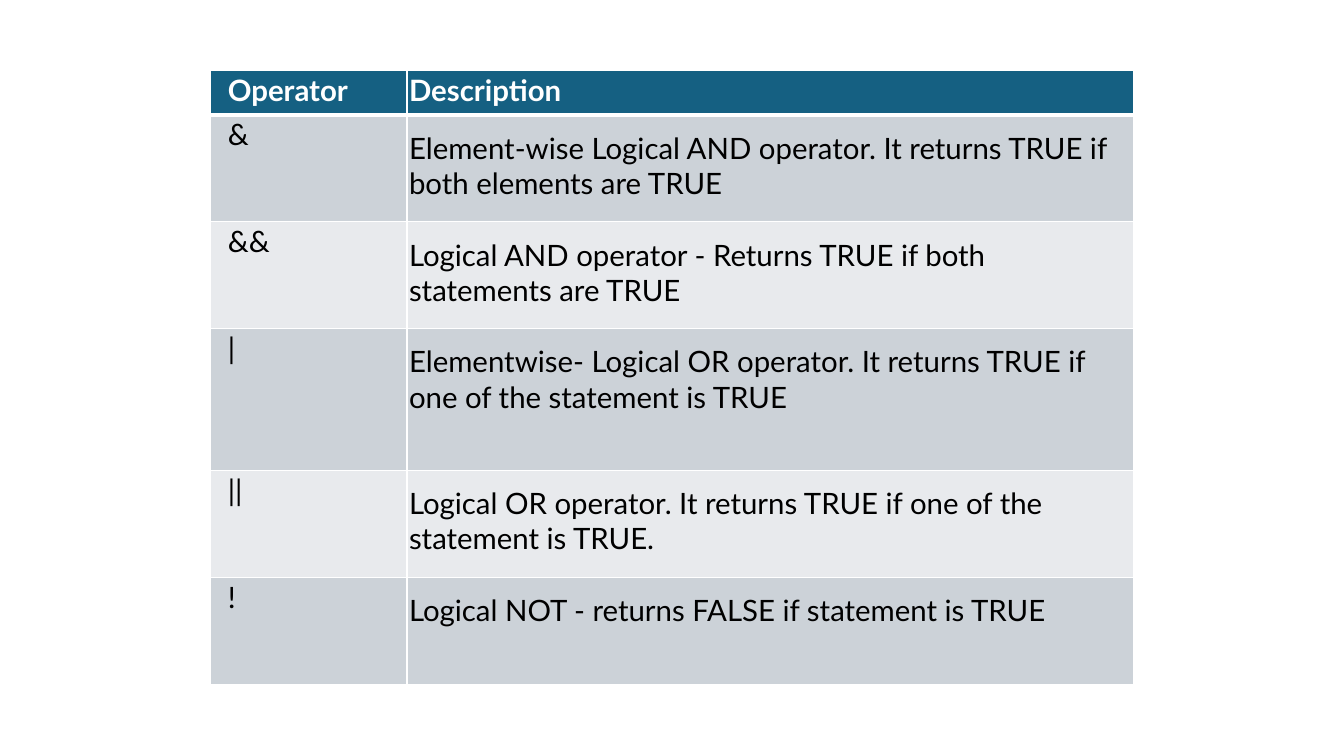
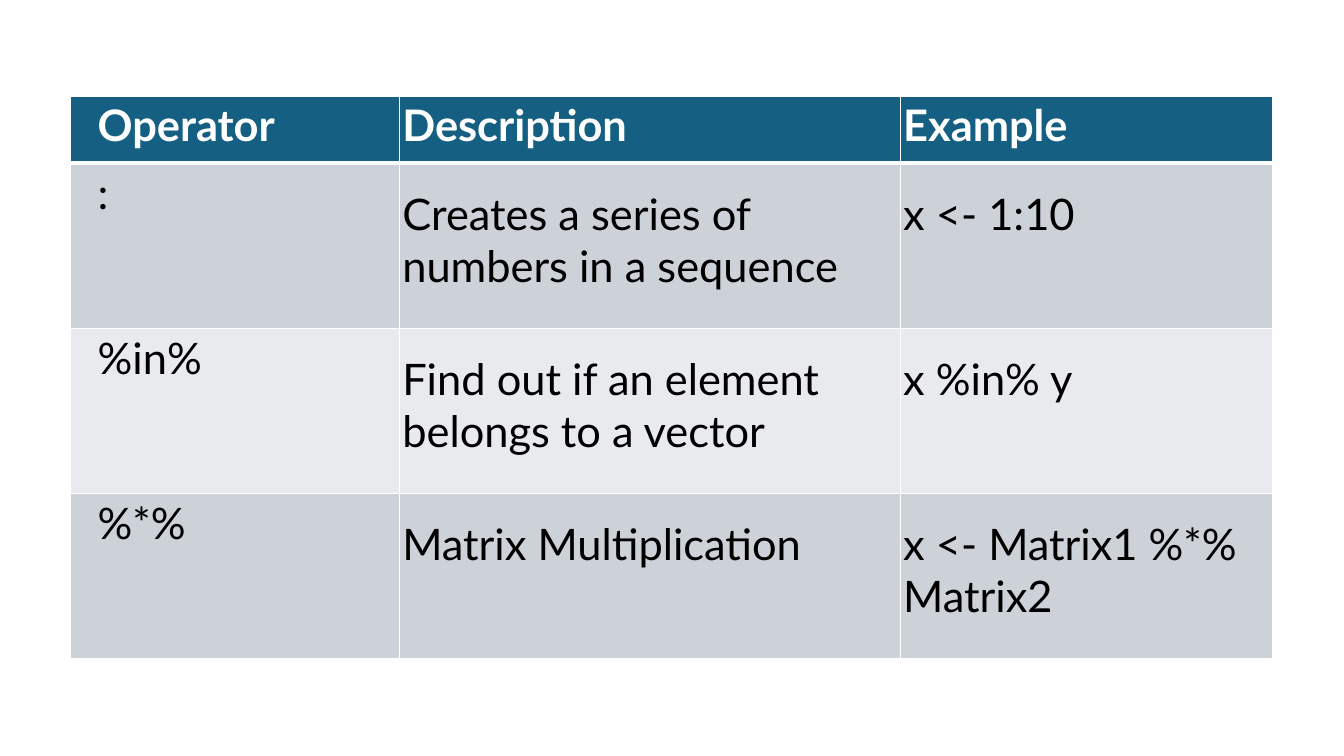
from lxml import etree
from pptx import Presentation
from pptx.dml.color import RGBColor
from pptx.oxml import ns
from pptx.util import Pt

# Shared style
FONT = "Lato"
WHITE = RGBColor(0xFF, 0xFF, 0xFF)
BLACK = RGBColor(0x00, 0x00, 0x00)
TEAL = RGBColor(0x15, 0x60, 0x82)
BANDS = (RGBColor(0xCC, 0xD2, 0xD8), RGBColor(0xE8, 0xEA, 0xED))
THIN, THICK = 1, 3

# Table content
LOGIC = [
    ("Operator", "Description"),
    ("&", "Element-wise Logical AND operator. "
          "It returns TRUE if both elements are TRUE"),
    ("&&", "Logical AND operator - Returns TRUE if both statements are TRUE"),
    ("|", "Elementwise- Logical OR operator. "
          "It returns TRUE if one of the statement is TRUE"),
    ("||", "Logical OR operator. "
           "It returns TRUE if one of the statement is TRUE."),
    ("!", "Logical NOT - returns FALSE if statement is TRUE"),
]
MISC = [
    ("Operator", "Description", "Example"),
    (":", "Creates a series of numbers in a sequence", "x <- 1:10"),
    ("%in%", "Find out if an element belongs to a vector", "x %in% y"),
    ("%*%", "Matrix Multiplication", "x <- Matrix1 %*% Matrix2"),
]


def add_edges(cell, top, low):
    """Draw white borders; they must precede the fill in the cell."""
    props = cell._tc.get_or_add_tcPr()
    sides = (("L", THIN), ("R", THIN), ("T", top), ("B", low))
    for i, (side, width) in enumerate(sides):
        line = etree.Element(ns.qn(f"a:ln{side}"), w=str(Pt(width)))
        fill = etree.SubElement(line, ns.qn("a:solidFill"))
        etree.SubElement(fill, ns.qn("a:srgbClr"), val=str(WHITE))
        props.insert(i, line)


def fill_cell(cell, words, row, col, size, lead, side, pad):
    """Write and style one cell by its place in the table."""
    head = row == 0
    cell.fill.solid()
    cell.fill.fore_color.rgb = TEAL if head else BANDS[(row - 1) % 2]
    add_edges(cell, THICK if row == 1 else THIN, THICK if head else THIN)

    # Descriptions stand lower than the operator names
    deep = not head and col > 0
    cell.margin_left = Pt(side if col else lead)
    cell.margin_right = Pt(side)
    cell.margin_top = Pt(pad if deep else side)
    cell.margin_bottom = Pt(pad if deep else 0)

    run = cell.text_frame.paragraphs[0].add_run()
    run.text = words
    run.font.name = FONT
    run.font.size = Pt(size)
    run.font.bold = head
    run.font.color.rgb = WHITE if head else BLACK


def add_grid(deck, data, left, top, cols, rows, **style):
    """Add a slide that holds one operator table."""
    slide = deck.slides.add_slide(deck.slide_layouts[6])
    table = slide.shapes.add_table(
        len(rows), len(cols), Pt(left), Pt(top),
        Pt(sum(cols)), Pt(sum(rows))).table
    for col, width in zip(table.columns, cols):
        col.width = Pt(width)
    for row, height in zip(table.rows, rows):
        row.height = Pt(height)
    for r, line in enumerate(data):
        for c, words in enumerate(line):
            fill_cell(table.cell(r, c), words, r, c, **style)


def main():
    deck = Presentation()
    deck.slide_width, deck.slide_height = Pt(960), Pt(540)

    # Logical operators
    add_grid(deck, LOGIC, 150.5, 50.5, (140.3, 519),
             (31.6, 76.4, 76.4, 101.2, 76.4, 76.4),
             size=21, lead=12.3, side=1.4, pad=10.8)

    # Miscellaneous operators
    add_grid(deck, MISC, 50.5, 68.5, (234.7, 357.8, 266.2),
             [48] + [118] * 3,
             size=31, lead=19.3, side=2.2, pad=17.2)

    deck.save("out.pptx")


if __name__ == "__main__":
    main()
